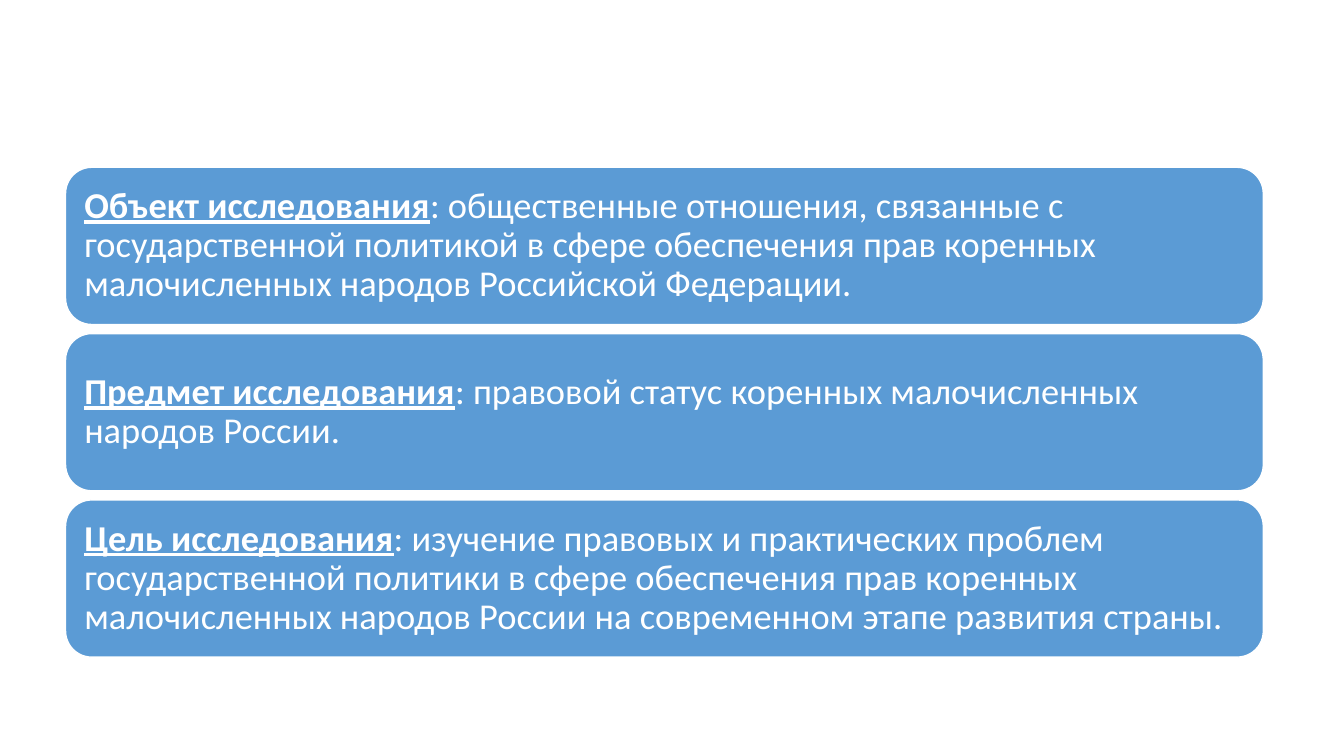
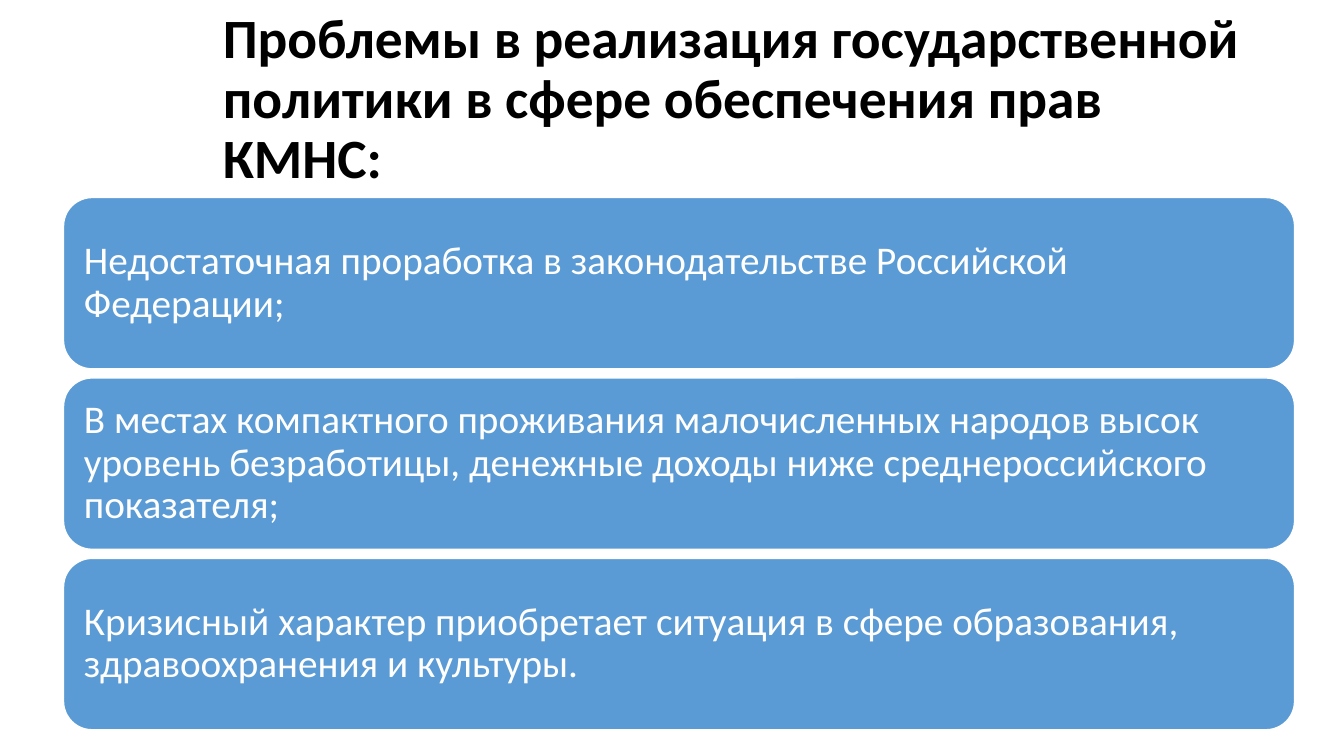
from pptx import Presentation
from pptx.dml.color import RGBColor
from pptx.enum.shapes import MSO_SHAPE
from pptx.enum.text import MSO_ANCHOR, MSO_AUTO_SIZE, PP_ALIGN
from pptx.util import Emu, Pt

BLUE = RGBColor(0x5B, 0x9B, 0xD5)
WHITE = RGBColor(0xFF, 0xFF, 0xFF)
BLACK = RGBColor(0x00, 0x00, 0x00)
FONT = "Calibri"
TITLE_ONLY, BLANK = 5, 6
GAP = 9

RESEARCH = [
    ("Объект исследования", ": общественные отношения, связанные с государственной политикой в сфере обеспечения прав коренных малочисленных народов Российской Федерации."),
    ("Предмет исследования", ": правовой статус коренных малочисленных народов России."),
    ("Цель исследования", ": изучение правовых и практических проблем государственной политики в сфере обеспечения прав коренных малочисленных народов России на современном этапе развития страны."),
]
PROBLEMS_TITLE = "Проблемы в реализация государственной политики в сфере обеспечения прав КМНС:"
PROBLEMS = [
    ("", "Недостаточная проработка в законодательстве Российской Федерации;"),
    ("", "В местах компактного проживания малочисленных народов высок уровень безработицы, денежные доходы ниже среднероссийского показателя;"),
    ("", "Кризисный характер приобретает ситуация в сфере образования, здравоохранения и культуры."),
]


def px(n):
    return Emu(n * 9144)


def format_text(tf, size, color):
    tf.word_wrap = True
    tf.auto_size = MSO_AUTO_SIZE.NONE
    tf.vertical_anchor = MSO_ANCHOR.MIDDLE
    p = tf.paragraphs[0]
    p.alignment = PP_ALIGN.LEFT
    p.line_spacing = 0.9
    p.font.name = FONT
    p.font.size = Pt(size)
    p.font.color.rgb = color
    return p


def add_card(s, box, term, text, size, inset):
    sp = s.shapes.add_shape(MSO_SHAPE.ROUNDED_RECTANGLE, *map(px, box))
    sp.shadow.inherit = False
    sp.fill.solid()
    sp.fill.fore_color.rgb = BLUE
    sp.line.color.rgb = WHITE
    sp.line.width = Pt(1)
    tf = sp.text_frame
    tf.margin_left = tf.margin_right = tf.margin_top = tf.margin_bottom = px(inset)
    p = format_text(tf, size, WHITE)
    if term:
        r = p.add_run()
        r.text = term
        r.font.bold = r.font.underline = True
    p.add_run().text = text


def add_card_list(s, box, cards, size, inset):
    x, y, w, h = box
    card_h = (h - GAP * (len(cards) - 1)) // len(cards)
    for i, (term, text) in enumerate(cards):
        add_card(s, (x, y + i * (card_h + GAP), w, card_h), term, text, size, inset)


def add_title(s, box, text):
    title = s.shapes.title
    title.left, title.top, title.width, title.height = map(px, box)
    tf = title.text_frame
    tf.text = text
    format_text(tf, 39.6, BLACK).font.bold = True


def research_slide(prs):
    s = prs.slides.add_slide(prs.slide_layouts[BLANK])
    add_card_list(s, (65, 166, 1188, 486), RESEARCH, 26, 11)


def problems_slide(prs):
    s = prs.slides.add_slide(prs.slide_layouts[TITLE_ONLY])
    add_title(s, (211, 12, 1058, 175), PROBLEMS_TITLE)
    add_card_list(s, (63, 196, 1221, 528), PROBLEMS, 28, 12)


def main():
    prs = Presentation()
    prs.slide_width, prs.slide_height = px(1333), px(750)
    research_slide(prs)
    problems_slide(prs)
    prs.save("out.pptx")


if __name__ == "__main__":
    main()
